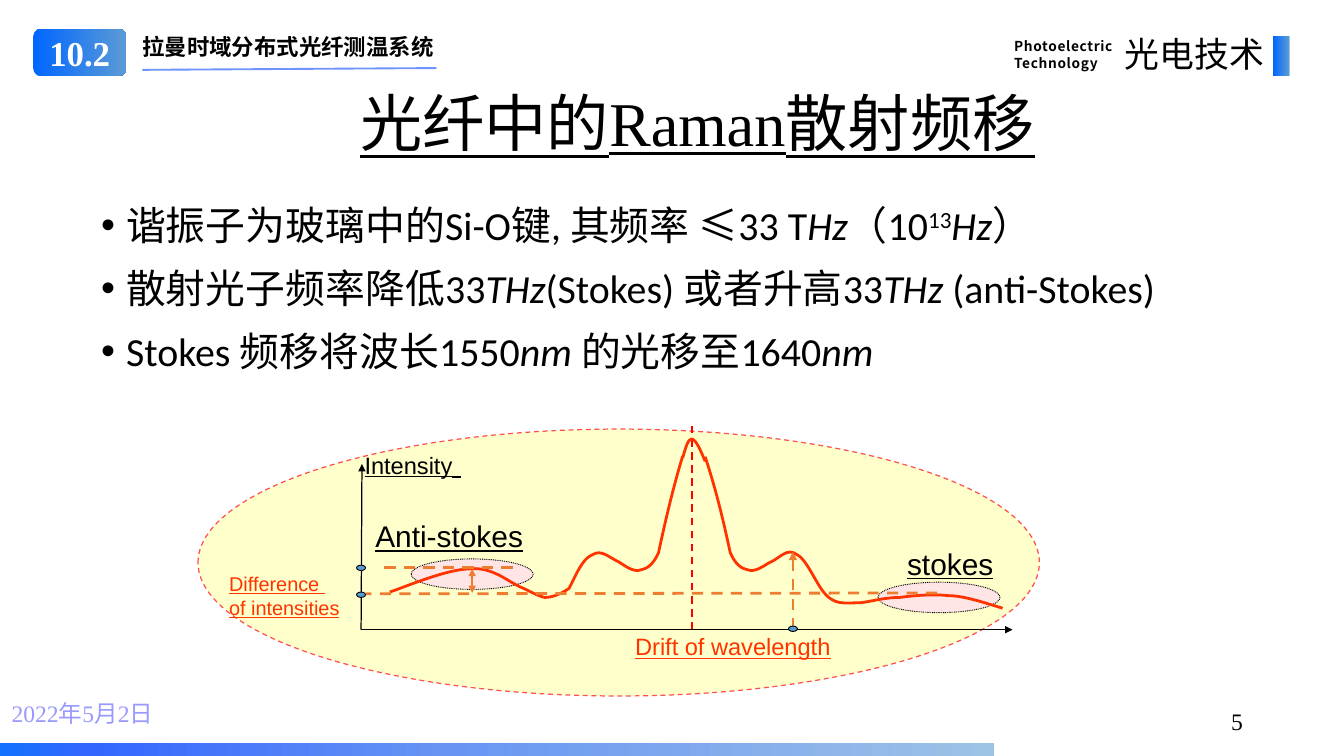
from typing import NamedTuple, Optional

from pptx import Presentation
from pptx.dml.color import RGBColor
from pptx.enum.dml import MSO_LINE
from pptx.enum.shapes import MSO_CONNECTOR, MSO_SHAPE
from pptx.enum.text import MSO_ANCHOR, PP_ALIGN
from pptx.oxml.ns import qn
from pptx.oxml.xmlchemy import OxmlElement
from pptx.util import Inches, Pt

DASH, DOT = MSO_LINE.DASH, MSO_LINE.ROUND_DOT
OVAL, RECT, PILL = MSO_SHAPE.OVAL, MSO_SHAPE.RECTANGLE, MSO_SHAPE.ROUNDED_RECTANGLE
STRAIGHT = MSO_CONNECTOR.STRAIGHT
LEFT, CENTER, RIGHT = PP_ALIGN.LEFT, PP_ALIGN.CENTER, PP_ALIGN.RIGHT
TOP, MIDDLE = MSO_ANCHOR.TOP, MSO_ANCHOR.MIDDLE

BLACK, WHITE = RGBColor(0, 0, 0), RGBColor(255, 255, 255)
BLUE, STEEL = RGBColor(0x00, 0x66, 0xFF), RGBColor(0x5B, 0x9B, 0xD5)
ROYAL, LILAC = RGBColor(0x33, 0x66, 0xFF), RGBColor(0x99, 0x99, 0xFF)
BAND_START, BAND_MID = RGBColor(0x12, 0x71, 0xFE), RGBColor(0x68, 0x95, 0xF3)
BAND_END = RGBColor(0x9D, 0xC3, 0xE6)
CREAM, CORAL = RGBColor(0xFF, 0xFF, 0xCC), RGBColor(0xFF, 0x50, 0x50)
PINK, RED = RGBColor(0xFF, 0xCC, 0xFF), RGBColor(255, 0, 0)
ORANGE, FLAME = RGBColor(0xED, 0x7D, 0x31), RGBColor(0xFF, 0x33, 0x00)

SANS, SERIF, BODY, LABEL = "Noto Sans CJK SC", "Times New Roman", "Calibri", "Arial"

# Grid of 15 columns by 8.44 rows
SLIDE_W, SLIDE_H = Inches(15), Inches(8.44)
COL, ROW = SLIDE_W / 15, SLIDE_H / 8.44


class Box(NamedTuple):
    col: float
    row: float
    cols: float
    rows: float

    def emu(self):
        return [round(n * unit) for n, unit in zip(self, (COL, ROW, COL, ROW))]


class Style(NamedTuple):
    size: float
    font: str
    color: RGBColor = BLACK
    bold: bool = False
    italic: bool = False
    underline: bool = False
    spacing: float = 0
    raised: int = 0


class Stroke(NamedTuple):
    color: RGBColor
    width: float
    dash: Optional[MSO_LINE] = None
    head: bool = False
    tail: bool = False
    opacity: int = 100


def make(tag: str, **attributes: str):
    element = OxmlElement(tag)
    for key, value in attributes.items():
        element.set(key, value)
    return element


def set_opacity(parent, percent: int) -> None:
    next(parent.iter(qn("a:srgbClr"))).append(make("a:alpha", val=str(percent * 1000)))


def apply_stroke(line, stroke: Stroke) -> None:
    line.color.rgb, line.width = stroke.color, Pt(stroke.width)
    if stroke.dash is not None:
        line.dash_style = stroke.dash
    ln = line._get_or_add_ln()
    if stroke.opacity < 100:
        set_opacity(ln, stroke.opacity)
    for tag, wanted in (("a:headEnd", stroke.head), ("a:tailEnd", stroke.tail)):
        if wanted:
            ln.append(make(tag, type="triangle"))


def format_run(run, style: Style) -> None:
    font = run.font
    font.size, font.name, font.color.rgb = Pt(style.size), style.font, style.color
    font.bold, font.italic, font.underline = style.bold, style.italic, style.underline
    props = font._element
    if style.spacing:
        props.set("spc", str(round(style.spacing * 100)))
    if style.raised:
        props.set("baseline", str(style.raised * 1000))
    props.find(qn("a:latin")).addnext(make("a:ea", typeface=SANS))


def write(frame, lines: list, align=LEFT, anchor=TOP, wrap=True, leading=None,
          bullets=False) -> None:
    """Each line is a list of (text, Style) pairs."""
    frame.word_wrap, frame.vertical_anchor = wrap, anchor
    for i, pieces in enumerate(lines):
        paragraph = frame.paragraphs[0] if i == 0 else frame.add_paragraph()
        paragraph.alignment = align
        if leading:
            paragraph.line_spacing = leading
        if bullets:
            add_bullet(paragraph, first=i == 0)
        for text, style in pieces:
            run = paragraph.add_run()
            run.text = text
            format_run(run, style)


def add_bullet(paragraph, first: bool) -> None:
    props = paragraph._p.get_or_add_pPr()
    props.set("marL", str(Inches(0.28)))
    props.set("indent", str(-Inches(0.28)))
    if not first:
        before = make("a:spcBef")
        before.append(make("a:spcPct", val="50000"))
        props.append(before)
    props.append(make("a:buFont", typeface=LABEL))
    props.append(make("a:buChar", char="•"))


def add_text(shapes, box: Box, lines: list, **layout):
    frame = shapes.add_textbox(*box.emu()).text_frame
    write(frame, lines, **layout)
    return frame


def add_gradient(shapes, kind, box: Box, stops: list):
    shape = shapes.add_shape(kind, *box.emu())
    shape.shadow.inherit = False
    shape.line.fill.background()
    shape.fill.gradient()
    shape.fill.gradient_angle = 0
    stop_list = next(shape._element.iter(qn("a:gsLst")))
    stop_list.clear()
    for position, color in stops:
        stop = make("a:gs", pos=str(position * 1000))
        stop.append(make("a:srgbClr", val=str(color)))
        stop_list.append(stop)
    return shape


def add_oval(shapes, box: Box, color: RGBColor, stroke: Stroke, opacity=100) -> None:
    oval = shapes.add_shape(OVAL, *box.emu())
    oval.shadow.inherit = False
    oval.fill.solid()
    oval.fill.fore_color.rgb = color
    if opacity < 100:
        set_opacity(oval._element.spPr, opacity)
    apply_stroke(oval.line, stroke)


def add_line(shapes, start: tuple, end: tuple, stroke: Stroke) -> None:
    ends = [round(n * unit) for n, unit in zip(start + end, (COL, ROW) * 2)]
    line = shapes.add_connector(STRAIGHT, *ends)
    apply_stroke(line.line, stroke)
    line._element.spPr.append(make("a:effectLst"))


def add_curve(shapes, knots: list, stroke: Stroke) -> None:
    """Chain of cubic Bezier arcs: a start, then two controls and an end per arc."""
    start, *points = [(round(x * COL), round(y * ROW)) for x, y in knots]
    builder = shapes.build_freeform(*start)
    builder.add_line_segments(points, close=False)
    curve = builder.convert_to_shape()
    segments = list(curve._element.iter(qn("a:lnTo")))
    for i in range(0, len(segments), 3):
        arc = make("a:cubicBezTo")
        segments[i].addprevious(arc)
        for segment in segments[i:i + 3]:
            arc.append(segment[0])
            segment.getparent().remove(segment)
    curve.shadow.inherit = False
    curve.fill.background()
    apply_stroke(curve.line, stroke)


def add_header_and_footer(shapes) -> None:
    english = Style(11, SANS, bold=True, spacing=0.5)
    add_text(shapes, Box(1.49, 0.32, 4.99, 0.4),
             [[("拉曼时域分布式光纤测温系统", Style(18, SANS, bold=True))]])
    add_text(shapes, Box(11.22, 0.36, 1.32, 0.49),
             [[("Photoelectric", english)], [("Technology", english)]], leading=Pt(14))
    add_gradient(shapes, RECT, Box(14.21, 0.4, 0.18, 0.45), [(0, BLUE), (100, STEEL)])
    badge = add_gradient(shapes, PILL, Box(0.37, 0.32, 1.04, 0.53), [(0, BLUE), (100, STEEL)])
    write(badge.text_frame, [[("10.2", Style(28, SERIF, WHITE, bold=True))]], CENTER, MIDDLE)
    add_line(shapes, (1.59, 0.78), (4.87, 0.76), Stroke(ROYAL, 1.5, opacity=70))
    add_text(shapes, Box(12.31, 0.32, 1.9, 0.57),
             [[("光电技术", Style(28, SANS, spacing=0.2))]], align=RIGHT)
    add_gradient(shapes, RECT, Box(0, 8.3, 11.09, 0.14),
                 [(0, BAND_START), (9, ROYAL), (45, BAND_MID), (100, BAND_END)])


def add_title_and_points(shapes) -> None:
    title = Style(50, SERIF, underline=True)
    add_text(shapes, Box(3.25, 0.99, 9.07, 1.09),
             [[("光纤中的Raman", title), ("散射频移", title._replace(font=BODY))]],
             align=CENTER, leading=0.9)
    plain = Style(32, BODY)
    unit, power = plain._replace(italic=True), plain._replace(raised=30)
    points = [
        [("谐振子为玻璃中的Si-O键, 其频率 ≤33 T", plain), ("Hz", unit), ("（10", plain),
         ("13", power), ("Hz", unit), ("）", plain)],
        [("散射光子频率降低33", plain), ("THz", unit), ("(Stokes) 或者升高33", plain),
         ("THz", unit), (" (anti-Stokes)", plain)],
        [("Stokes 频移将波长1550", plain), ("nm ", unit), ("的光移至1640", plain), ("nm", unit)],
    ]
    add_text(shapes, Box(1.03, 2.25, 12.94, 5.35), points, leading=0.9, bullets=True)
    # Page number and date
    page = add_text(shapes, Box(10.6, 7.82, 3.38, 0.45), [[("5", Style(19, SERIF))]],
                    align=RIGHT, anchor=MIDDLE)
    date = add_text(shapes, Box(0, 7.67, 3.12, 0.58),
                    [[("2022年5月2日", Style(19, SERIF, LILAC))]], anchor=MIDDLE)
    for frame, margin in ((page, 0.11), (date, 0.13)):
        frame.margin_left = frame.margin_right = Inches(margin)


def add_spectrum(shapes) -> None:
    # Backdrop, centre line and highlighted bands
    add_oval(shapes, Box(2.21, 4.79, 9.39, 2.98), CREAM, Stroke(CORAL, 1, DASH))
    add_line(shapes, (7.72, 7.03), (7.72, 4.73), Stroke(RED, 1.5, DASH))
    for col, row in ((9.8, 6.5), (4.59, 6.24)):
        add_oval(shapes, Box(col, row, 1.36, 0.34), PINK, Stroke(BLACK, 0.75, DOT), 50)

    # Spectrum: anti-Stokes side, then Stokes side
    signal = Stroke(FLAME, 2.25)
    add_curve(shapes, [
        (7.62, 5.09), (7.49, 5.52), (7.4, 5.94), (7.35, 6.17), (7.26, 6.37), (7.17, 6.35),
        (7.12, 6.37), (7.03, 6.37), (6.94, 6.29), (6.9, 6.27), (6.81, 6.23), (6.71, 6.13),
        (6.62, 6.19), (6.49, 6.23), (6.4, 6.49), (6.35, 6.57), (6.26, 6.63), (6.17, 6.67),
        (6.08, 6.67), (5.99, 6.65), (5.9, 6.59), (5.8, 6.55), (5.67, 6.49), (5.49, 6.33),
        (5.26, 6.35), (4.99, 6.35), (4.53, 6.55), (4.35, 6.61)], signal)
    add_curve(shapes, [
        (7.87, 5.1), (8.01, 5.52), (8.1, 5.94), (8.15, 6.17), (8.24, 6.37), (8.33, 6.35),
        (8.38, 6.37), (8.47, 6.37), (8.56, 6.29), (8.61, 6.27), (8.7, 6.23), (8.79, 6.11),
        (8.89, 6.19), (9.02, 6.25), (9.12, 6.57), (9.25, 6.67), (9.35, 6.75), (9.44, 6.73),
        (9.58, 6.73), (9.67, 6.73), (9.85, 6.67), (10.04, 6.67), (10.18, 6.65), (10.41, 6.63),
        (10.59, 6.65), (10.77, 6.65), (11.05, 6.75), (11.19, 6.79)], signal)

    # Level lines, axes and measuring arrows
    level, axis = Stroke(ORANGE, 2.25, DASH), Stroke(BLACK, 1, tail=True)
    for start, end, stroke in (
        ((4.29, 6.34), (5.73, 6.34), level),
        ((10.46, 6.62), (4.08, 6.63), level),
        ((4.03, 7.03), (11.3, 7.03), axis),
        ((4.03, 7.03), (4.04, 5.18), axis),
        ((5.27, 6.35), (5.27, 6.62), Stroke(ORANGE, 1.5, head=True, tail=True)),
        ((8.85, 6.16), (8.85, 7.05), level._replace(head=True)),
    ):
        add_line(shapes, start, end, stroke)

    # Labels
    band = Style(24, LABEL, underline=True)
    axis_name = band._replace(size=19)
    drift = axis_name._replace(color=FLAME)
    difference = drift._replace(size=16)
    add_text(shapes, Box(4.09, 5.73, 2.78, 0.5), [[("Anti-stokes", band)]])
    add_text(shapes, Box(10.02, 6.04, 1.17, 0.5), [[("stokes", band)]], align=CENTER, wrap=False)
    add_text(shapes, Box(3.97, 4.91, 1.49, 0.5), [[("Intensity", axis_name), (" ", band)]])
    for col, row in ((8.8, 6.99), (3.98, 6.61), (3.98, 6.31)):
        add_oval(shapes, Box(col, row, 0.1, 0.06), STEEL, Stroke(BLACK, 0.75))
    add_text(shapes, Box(6.99, 7.01, 2.41, 0.42), [[("Drift of wavelength", drift)]], wrap=False)
    add_text(shapes, Box(2.46, 6.33, 1.73, 0.64),
             [[("Difference ", difference)], [("of intensities", difference)]])

    # Central peak
    add_curve(shapes, [(7.62, 5.11), (7.65, 5), (7.68, 4.9), (7.72, 4.9), (7.77, 4.91),
                       (7.82, 5.03), (7.87, 5.15)], signal)


def main() -> None:
    deck = Presentation()
    deck.slide_width, deck.slide_height = SLIDE_W, SLIDE_H
    slide = deck.slides.add_slide(deck.slide_layouts[6])
    add_header_and_footer(slide.shapes)
    add_title_and_points(slide.shapes)
    add_spectrum(slide.shapes.add_group_shape().shapes)
    deck.save("out.pptx")


if __name__ == "__main__":
    main()
